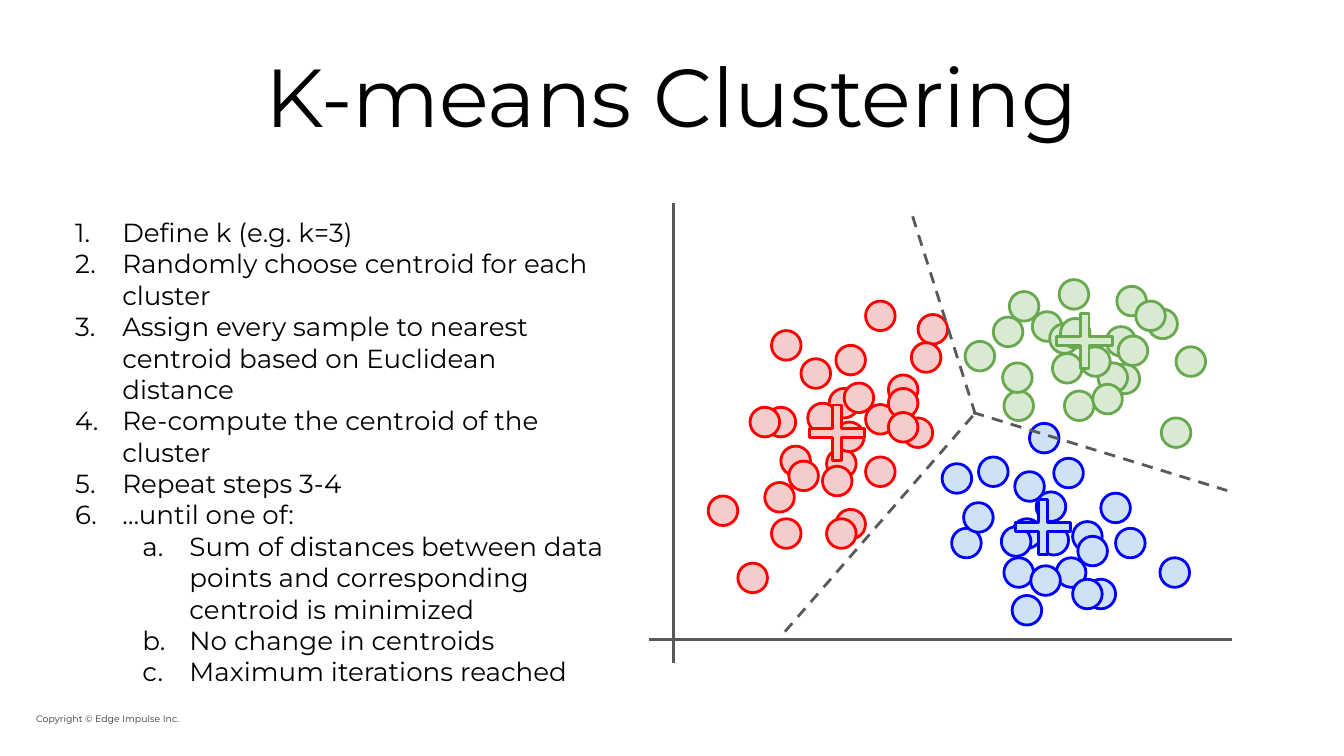
import pptx
import pptx.dml.color
import pptx.enum.dml
import pptx.enum.shapes
import pptx.enum.text
import pptx.oxml.ns
import pptx.util
from lxml import etree
from dataclasses import dataclass

Pt = pptx.util.Pt
RGB = pptx.dml.color.RGBColor.from_string
Shapes = pptx.enum.shapes.MSO_SHAPE
Dash = pptx.enum.dml.MSO_LINE
qn = pptx.oxml.ns.qn


@dataclass(frozen=True)
class Theme:
    font: str = "Montserrat"
    text: str = "000000"
    footer: str = "333333"
    axis: str = "595959"
    red: tuple = ("F4CCCC", "FF0000")
    blue: tuple = ("CFE2F3", "0000FF")
    green: tuple = ("D9EAD3", "6AA84F")
    title_size: float = 44
    body_size: float = 14
    footer_size: float = 5
    line_width: float = 1.5


theme = Theme()
SAMPLE_SIZE = 15.84
CENTROID_SIZE = 40.3


def add_marker(kind, position, size, colors):
    """Draw one sample or centroid with its top-left corner at position."""
    left, top = position
    shape = slide.shapes.add_shape(kind, Pt(left), Pt(top), Pt(size), Pt(size))
    shape.shadow.inherit = False
    fill, outline = colors
    shape.fill.solid()
    shape.fill.fore_color.rgb = RGB(fill)
    shape.line.color.rgb = RGB(outline)
    shape.line.width = Pt(theme.line_width)
    return shape


def format_text(paragraph, size, color):
    paragraph.space_before = Pt(0)
    paragraph.line_spacing = 1.0
    for run in paragraph.runs:
        run.font.name = theme.font
        run.font.size = Pt(size)
        run.font.color.rgb = RGB(color)


presentation = pptx.Presentation()
presentation.slide_width = Pt(720)
presentation.slide_height = Pt(405)
slide = presentation.slides.add_slide(presentation.slide_layouts[1])

# Title
title = slide.shapes.title
title.left, title.top, title.width, title.height = Pt(36), Pt(16.6), Pt(648), Pt(67.7)
title.text_frame.text = "K-means Clustering"
title.text_frame.auto_size = pptx.enum.text.MSO_AUTO_SIZE.NONE
title.text_frame.vertical_anchor = pptx.enum.text.MSO_ANCHOR.MIDDLE
title.text_frame.paragraphs[0].alignment = pptx.enum.text.PP_ALIGN.CENTER
format_text(title.text_frame.paragraphs[0], theme.title_size, theme.text)

# Copyright line
footer = slide.shapes.add_textbox(Pt(19.4), Pt(382.3), Pt(98.6), Pt(6.5))
frame = footer.text_frame
frame.margin_left = frame.margin_top = frame.margin_right = frame.margin_bottom = 0
frame.text = "Copyright © Edge Impulse Inc."
format_text(frame.paragraphs[0], theme.footer_size, theme.footer)

# Numbered steps
steps = [
    (0, "Define k (e.g. k=3)"),
    (0, "Randomly choose centroid for each cluster"),
    (0, "Assign every sample to nearest centroid based on Euclidean distance"),
    (0, "Re-compute the centroid of the cluster"),
    (0, "Repeat steps 3-4"),
    (0, "…until one of:"),
    (1, "Sum of distances between data points and corresponding centroid is minimized"),
    (1, "No change in centroids"),
    (1, "Maximum iterations reached"),
]
body = slide.placeholders[1]
body.left, body.top, body.width, body.height = Pt(22.3), Pt(108.7), Pt(311.8), Pt(269.3)
frame = body.text_frame
frame.margin_left = frame.margin_top = frame.margin_right = frame.margin_bottom = Pt(7.2)
frame.auto_size = pptx.enum.text.MSO_AUTO_SIZE.NONE
frame.vertical_anchor = pptx.enum.text.MSO_ANCHOR.TOP
frame.text = "\n".join(text for level, text in steps)
for paragraph, (level, text) in zip(frame.paragraphs, steps):
    paragraph.level = level
    properties = paragraph._p.get_or_add_pPr()
    properties.set("marL", str(Pt(36 * (level + 1))))
    properties.set("indent", str(Pt(-25.2)))
    bullet_color = etree.SubElement(properties, qn("a:buClr"))
    etree.SubElement(bullet_color, qn("a:srgbClr"), val=theme.text)
    etree.SubElement(properties, qn("a:buFont"), typeface=theme.font)
    numbering = ("arabicPeriod", "alphaLcPeriod")[level]
    etree.SubElement(properties, qn("a:buAutoNum"), type=numbering)
    format_text(paragraph, theme.body_size, theme.text)

# Samples of each cluster: colours, rotation, positions
clusters = [
    (theme.red, 0, [
        (413.3, 177.1), (447.8, 185), (429.1, 192.2), (418.3, 239), (444.2, 208.1),
        (475.9, 200.9), (442.8, 240.5), (463.7, 161.3), (463.7, 216.7), (447.8, 272.9),
        (475.9, 208.1), (410.4, 218.2), (413.3, 277.9), (491.8, 168.5), (409.7, 258.5),
        (379.4, 265.7), (401.8, 218.2), (488.2, 183.6), (440.6, 249.8), (395.3, 301.7),
        (442.8, 277.9), (483.8, 223.9), (463.7, 244.8), (432.7, 216), (447.1, 226.1),
        (475.9, 221), (452.2, 205.2), (422.6, 247),
    ]),
    (theme.blue, 90, [
        (597.6, 283), (589.7, 264.2), (543.6, 252.7), (574.6, 279.4), (581.8, 310.3),
        (542.2, 277.9), (621.4, 298.8), (565.9, 298.8), (509.8, 283), (574.6, 310.3),
        (564.5, 245.5), (504.7, 248.4), (524.2, 244.8), (551.5, 226.8), (516.2, 269.3),
        (542.2, 319), (537.8, 298.8), (555.1, 263.5), (556.6, 281.5), (552.2, 303.1),
        (577.4, 287.3), (536.4, 282.2),
    ]),
    (theme.green, 60, [
        (614.9, 165.6), (598.3, 153.4), (553, 167), (592.6, 175), (630, 185.8),
        (563.8, 189.4), (608.4, 161.3), (594.7, 195.1), (537.8, 209.5), (588.2, 194.4),
        (567.4, 149.8), (517, 182.9), (532.1, 169.9), (562.3, 173.5), (537.1, 194.4),
        (622.1, 223.9), (570.2, 209.5), (568.1, 170.6), (578.9, 185.8), (585.4, 205.9),
        (599, 180), (540.7, 156.2),
    ]),
]
for colors, rotation, samples in clusters:
    for position in samples:
        sample = add_marker(Shapes.OVAL, position, SAMPLE_SIZE, colors)
        sample.rotation = rotation

# Centroids
centroids = [
    (theme.red, (428.4, 211.7)),
    (theme.blue, (538.6, 262.1)),
    (theme.green, (560.9, 162.7)),
]
for colors, position in centroids:
    centroid = add_marker(Shapes.MATH_PLUS, position, CENTROID_SIZE, colors)
    centroid.adjustments[0] = 0.117

# Axes and cluster boundaries
lines = [
    ((360.7, 108.7), (360.7, 355), Dash.SOLID),
    ((347.8, 342.7), (660.2, 342.7), Dash.SOLID),
    ((420.5, 338.4), (522, 221.8), Dash.DASH),
    ((521.3, 221), (657.4, 262.8), Dash.DASH),
    ((488.9, 115.9), (522.7, 222.5), Dash.DASH),
]
for start, end, dash in lines:
    connector = slide.shapes.add_connector(
        pptx.enum.shapes.MSO_CONNECTOR.STRAIGHT, *map(Pt, start + end))
    connector.line.color.rgb = RGB(theme.axis)
    connector.line.width = Pt(theme.line_width)
    connector.line.dash_style = dash
    etree.SubElement(connector._element.spPr, qn("a:effectLst"))

presentation.save("out.pptx")
